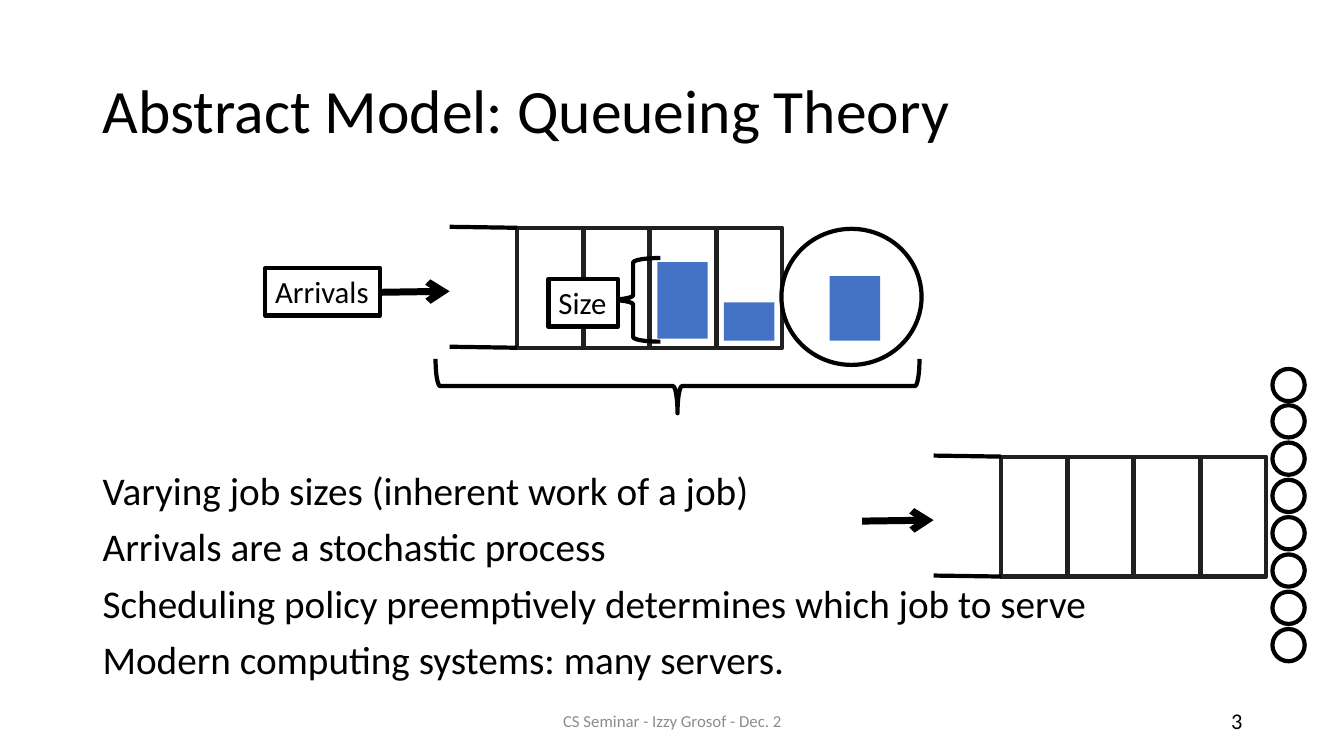
from lxml import etree
from pptx import Presentation
from pptx.dml.color import RGBColor
from pptx.enum.shapes import MSO_CONNECTOR, MSO_SHAPE
from pptx.enum.text import MSO_ANCHOR, PP_ALIGN
from pptx.oxml.ns import qn
from pptx.util import Pt

PX = 9144  # 100 px to the inch
RECTANGLE, OVAL, BRACE = MSO_SHAPE.RECTANGLE, MSO_SHAPE.OVAL, MSO_SHAPE.LEFT_BRACE
STRAIGHT = MSO_CONNECTOR.STRAIGHT
TOP, MIDDLE = MSO_ANCHOR.TOP, MSO_ANCHOR.MIDDLE
LEFT, CENTER, RIGHT = PP_ALIGN.LEFT, PP_ALIGN.CENTER, PP_ALIGN.RIGHT

FONT = "Calibri"
COLORS = {"ink": "000000", "paper": "FFFFFF", "cell": "202020",
          "job": "4472C4", "footer": "8C8C8C"}

CELLS, CELL_WIDTH, CELL_PITCH, CELL_HEIGHT = 4, 65, 66, 119
LANE_START, CELL_START = 71, 138
SERVERS, SERVER_SIZE = 8, 32

STATEMENTS = [
    "Varying job sizes (inherent work of a job)",
    "Arrivals are a stochastic process",
    "Scheduling policy preemptively determines which job to serve",
    "Modern computing systems: many servers.",
]


def rgb(name):
    return RGBColor.from_string(COLORS[name])


def emu(*lengths):
    return [length * PX for length in lengths]


def write(shape, lines, size, color="ink", align=LEFT, anchor=TOP, wrap=True,
          line_spacing=None, gap=0):
    frame = shape.text_frame
    frame.word_wrap = wrap
    frame.vertical_anchor = anchor
    for index, line in enumerate(lines):
        para = frame.add_paragraph() if index else frame.paragraphs[0]
        para.text = line
        para.alignment = align
        if line_spacing:
            para.line_spacing = line_spacing
        if index:
            para.space_before = Pt(gap)
        para.font.name = FONT
        para.font.size = Pt(size)
        para.font.color.rgb = rgb(color)


def add_text(page, box, lines, size, **style):
    write(page.shapes.add_textbox(*emu(*box)), lines, size, **style)


def add_figure(page, kind, box, fill=None, line=None):
    shape = page.shapes.add_shape(kind, *emu(*box))
    shape.shadow.inherit = False
    if fill:
        shape.fill.solid()
        shape.fill.fore_color.rgb = rgb(fill)
    else:
        shape.fill.background()
    if line:
        shape.line.color.rgb = rgb(line)
        shape.line.width = Pt(3)
    else:
        shape.line.fill.background()
    return shape


def add_label(page, box, text, fill=None):
    write(add_figure(page, RECTANGLE, box, fill, "ink"), [text], 22, wrap=False)


def add_line(page, start, end, width=3, arrow=False):
    line = page.shapes.add_connector(STRAIGHT, *emu(*start, *end))
    line.line.color.rgb = rgb("ink")
    line.line.width = Pt(width)
    if arrow:
        etree.SubElement(line.line._get_or_add_ln(), qn("a:tailEnd"), type="arrow")
    etree.SubElement(line._element.spPr, qn("a:effectLst"))


def add_queue(page, left, top):
    """Draw the arrival arrow, the open lane and the waiting cells."""
    first_cell = left + CELL_START
    for index in range(CELLS):
        box = (first_cell + index * CELL_PITCH, top + 1, CELL_WIDTH, CELL_HEIGHT)
        add_figure(page, RECTANGLE, box, "paper", "cell")
    lane = left + LANE_START
    for edge in (top, top + CELL_HEIGHT):
        add_line(page, (lane, edge), (first_cell, edge + 1))
    add_line(page, (left, top + 65), (lane, top + 64), width=5, arrow=True)


def add_single_server(page, left, top):
    add_queue(page, left, top)
    add_figure(page, OVAL, (left + 400, top + 2, 139, 135), "paper", "ink")
    for job_left, job_top, height in ((277, 35, 76), (343, 75, 38), (448, 49, 64)):
        add_figure(page, RECTANGLE, (left + job_left, top + job_top, 50, height), "job")
    add_label(page, (left - 112, top + 41, 114, 47), "Arrivals")
    system_brace = add_figure(page, BRACE, (left + 270, top - 82, 54, 480), line="ink")
    system_brace.rotation = 270
    add_figure(page, BRACE, (left + 226, top + 31, 54, 83), line="ink")
    add_label(page, (left + 169, top + 52, 69, 47), "Size", "paper")


def add_many_servers(page, left, top):
    first_top, span = top - 86, 258
    for index in range(SERVERS):
        server_top = first_top + index * span // (SERVERS - 1)
        box = (left + 407, server_top, SERVER_SIZE, SERVER_SIZE)
        add_figure(page, OVAL, box, "paper", "ink")
    add_queue(page, left, top)


def add_footer(page, top):
    add_text(page, (442, top, 450, 40), ["CS Seminar - Izzy Grosof - Dec. 2"], 12,
             color="footer", align=CENTER, anchor=MIDDLE)
    add_text(page, (942, top, 300, 40), ["3"], 16, align=RIGHT, anchor=MIDDLE)


def main():
    deck = Presentation()
    deck.slide_width, deck.slide_height = emu(1333, 750)
    page = deck.slides.add_slide(deck.slide_layouts[6])
    add_text(page, (92, 40, 1150, 145), ["Abstract Model: Queueing Theory"], 44,
             anchor=MIDDLE, line_spacing=0.9)
    add_footer(page, 695)
    add_single_server(page, 375, 225)
    add_text(page, (92, 463, 1150, 258), STATEMENTS, 28, line_spacing=0.9, gap=10)
    add_many_servers(page, 855, 452)
    deck.save("out.pptx")


if __name__ == "__main__":
    main()
